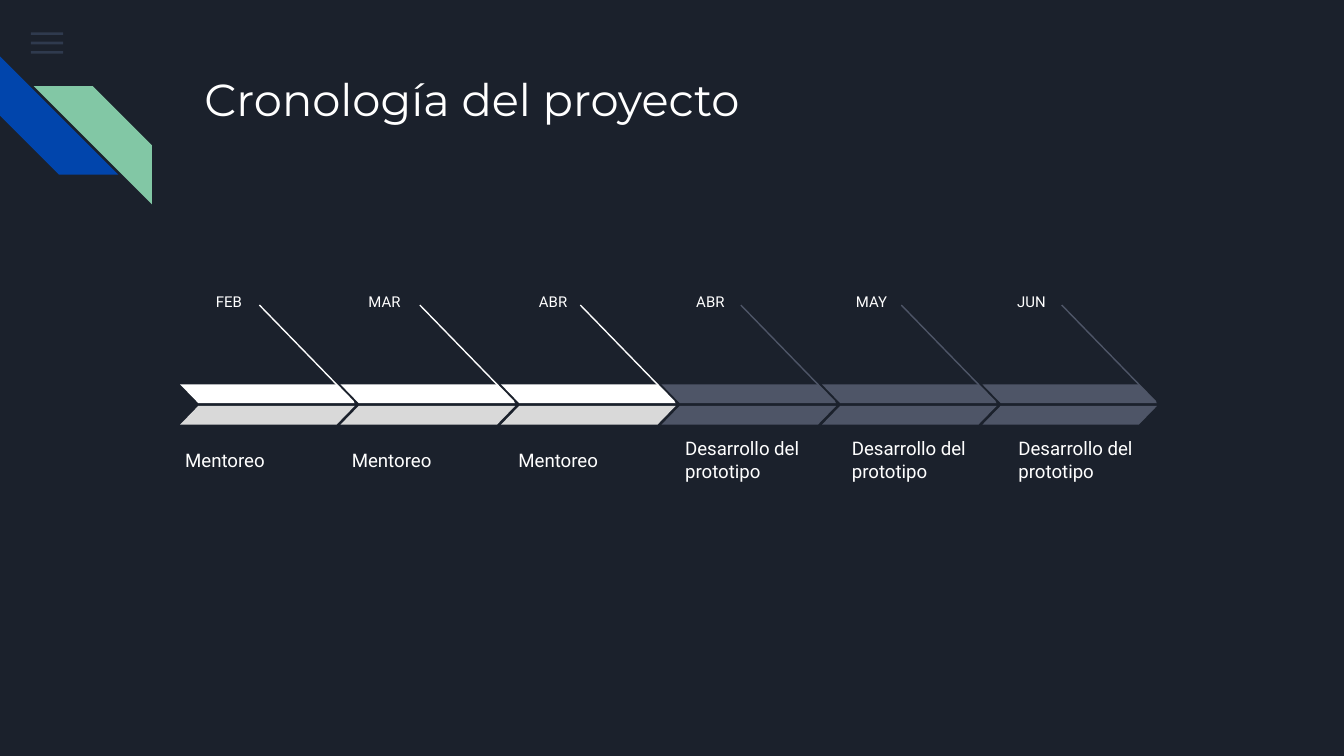
from lxml import etree
from pptx import Presentation
from pptx.dml.color import RGBColor
from pptx.enum.shapes import MSO_CONNECTOR, MSO_SHAPE
from pptx.enum.text import MSO_ANCHOR, MSO_AUTO_SIZE, PP_ALIGN
from pptx.oxml.ns import qn
from pptx.util import Inches, Pt

NAVY = RGBColor(0x1B, 0x21, 0x2C)
SLATE = RGBColor(0x55, 0x68, 0x8B)
BLUE = RGBColor(0x01, 0x45, 0xAC)
GREEN = RGBColor(0x82, 0xC7, 0xA5)
WHITE = RGBColor(0xFF, 0xFF, 0xFF)
LIGHT_GRAY = RGBColor(0xD9, 0xD9, 0xD9)
DARK_GRAY = RGBColor(0x4E, 0x55, 0x67)

DONE = (WHITE, LIGHT_GRAY)
PENDING = (DARK_GRAY, DARK_GRAY)

# Month, left edge of the month, activity, (upper, lower) arrow colours
STAGES = [
    ("FEB", 1.31, "Mentoreo", DONE),
    ("MAR", 2.49, "Mentoreo", DONE),
    ("ABR", 3.73, "Mentoreo", DONE),
    ("ABR", 4.9, "Desarrollo del prototipo", PENDING),
    ("MAY", 6.11, "Desarrollo del prototipo", PENDING),
    ("JUN", 7.29, "Desarrollo del prototipo", PENDING),
]
ARROW_SPAN = 5.97  # from the first arrow to the last
ARROW_PITCH = ARROW_SPAN / (len(STAGES) - 1)
LABEL_PITCH = 1.24


def add_filled(slide, kind, box, color, adjustment=None, flipped=False):
    shape = slide.shapes.add_shape(kind, *map(Inches, box))
    shape.shadow.inherit = False
    shape.fill.solid()
    shape.fill.fore_color.rgb = color
    shape.line.fill.background()
    if adjustment is not None:
        shape.adjustments[0] = adjustment
    if flipped:
        shape._element.spPr.find(qn("a:xfrm")).set("flipH", "1")
    return shape


def write_text(shape, text, font, size, anchor=MSO_ANCHOR.TOP, align=PP_ALIGN.LEFT):
    frame = shape.text_frame
    frame.word_wrap = True
    frame.auto_size = MSO_AUTO_SIZE.NONE
    frame.vertical_anchor = anchor
    frame.margin_left = frame.margin_right = Inches(0.1)
    frame.margin_top = frame.margin_bottom = Inches(0.1)
    paragraph = frame.paragraphs[0]
    paragraph.alignment = align
    run = paragraph.add_run()
    run.text = text
    run.font.name = font
    run.font.size = Pt(size)
    run.font.color.rgb = WHITE


def add_label(slide, box, text, size, **layout):
    shape = slide.shapes.add_textbox(*map(Inches, box))
    write_text(shape, text, "Roboto", size, **layout)


def add_menu_icon(slide, left, top):
    for row in range(3):
        bar = add_filled(slide, MSO_SHAPE.RECTANGLE,
                         (left, top + row * 0.07, 0.24, 0.02), SLATE)
        color = bar._element.spPr.find(qn("a:solidFill"))[0]
        etree.SubElement(color, qn("a:alpha")).set("val", "36000")


def add_corner_stripes(slide, left, top, size):
    blue = add_filled(slide, MSO_SHAPE.DIAGONAL_STRIPE,
                      (left, top, size, size), BLUE, 0.5)
    blue.rotation = 270
    add_filled(slide, MSO_SHAPE.DIAGONAL_STRIPE,
               (left + 0.25, top + 0.22, size, size), GREEN, 0.5, flipped=True)


def set_title(slide, left, top, width, height):
    title = slide.shapes.title
    title.left, title.top = Inches(left), Inches(top)
    title.width, title.height = Inches(width), Inches(height)
    write_text(title, "Cronología del proyecto", "Montserrat", 24)


def add_arrow(slide, left, top, colors):
    """Draw a two-tone arrow with the pointer line that rises from its tip."""
    upper, lower = colors
    pointer = slide.shapes.add_connector(
        MSO_CONNECTOR.STRAIGHT,
        Inches(left + 0.59), Inches(top - 0.59),
        Inches(left + 1.29), Inches(top + 0.13))
    pointer.line.color.rgb = upper
    pointer.line.width = Pt(0.75)
    etree.SubElement(pointer._element.spPr, qn("a:effectLst"))
    add_filled(slide, MSO_SHAPE.PARALLELOGRAM,
               (left, top, 1.3, 0.14), upper, 0.97, flipped=True)
    add_filled(slide, MSO_SHAPE.PARALLELOGRAM,
               (left, top + 0.16, 1.3, 0.14), lower, 0.97)


def add_timeline(slide, left, top):
    for index, (month, month_left, activity, colors) in enumerate(STAGES):
        add_arrow(slide, left + 0.06 + index * ARROW_PITCH, top + 0.78, colors)
        add_label(slide, (month_left, top, 0.59, 0.23), month, 8,
                  align=PP_ALIGN.RIGHT)
        add_label(slide, (left + index * LABEL_PITCH, top + 1.12, LABEL_PITCH, 0.44),
                  activity, 10, anchor=MSO_ANCHOR.MIDDLE)


def main():
    presentation = Presentation()
    presentation.slide_width = Inches(10)
    presentation.slide_height = Inches(10) * 9 // 16
    slide = presentation.slides.add_slide(presentation.slide_layouts[5])
    slide.background.fill.solid()
    slide.background.fill.fore_color.rgb = NAVY
    add_menu_icon(slide, 0.23, 0.24)
    add_corner_stripes(slide, 0, 0.42, 0.88)
    set_title(slide, 1.42, 0.43, 7.7, 1)
    add_timeline(slide, 1.28, 2.08)
    presentation.save("out.pptx")


if __name__ == "__main__":
    main()
